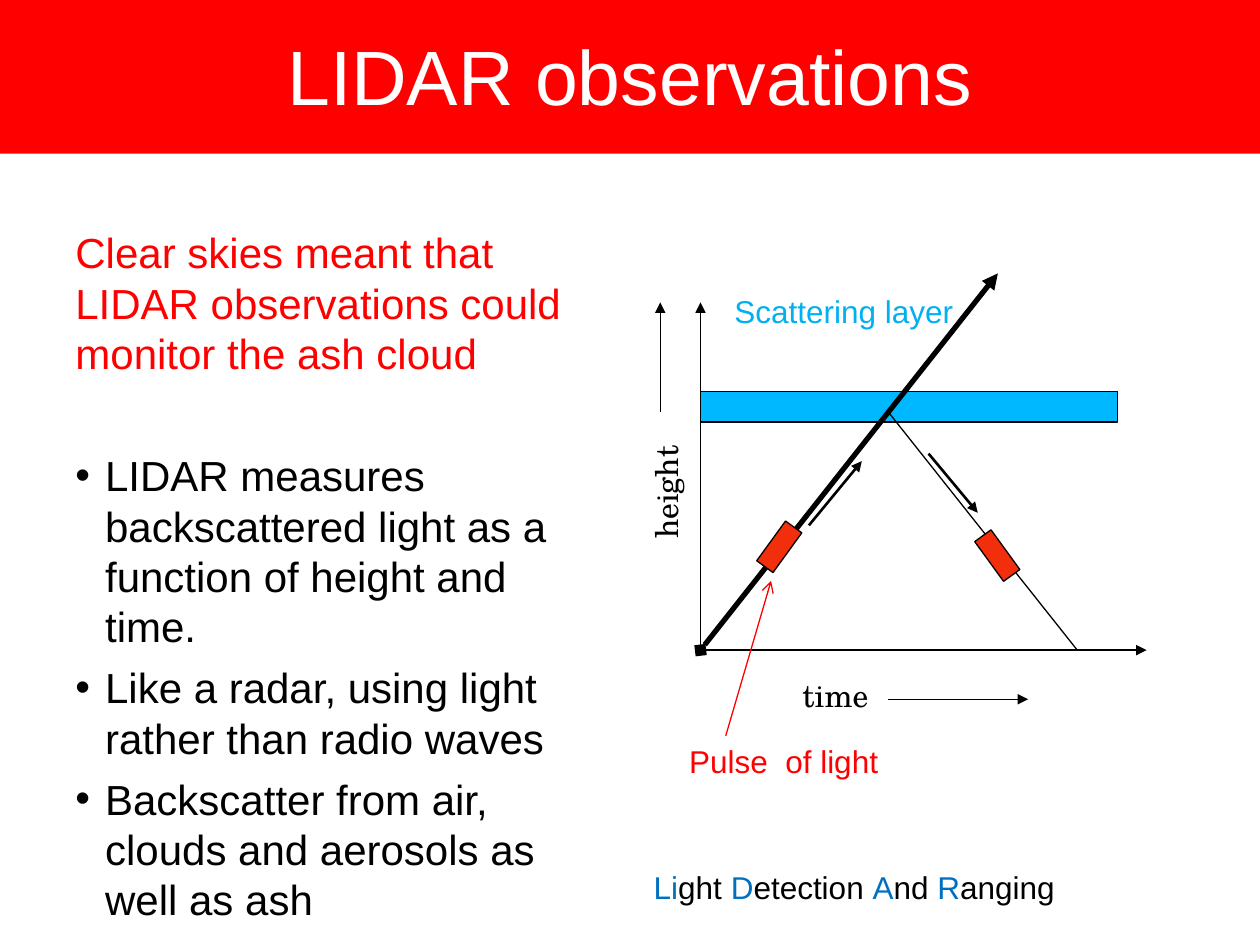
import lxml.etree
import pptx
import pptx.dml.color
import pptx.enum.shapes
import pptx.enum.text
import pptx.oxml.ns
import pptx.util

hue = pptx.dml.color.RGBColor.from_string
qn = pptx.oxml.ns.qn
pt = pptx.util.Pt
box = pptx.enum.shapes.MSO_SHAPE.RECTANGLE
wire = pptx.enum.shapes.MSO_CONNECTOR.STRAIGHT

deck = pptx.Presentation()
deck.slide_width = pptx.util.Inches(10)
deck.slide_height = pptx.util.Inches(7.5)
slide = deck.slides.add_slide(deck.slide_layouts[6])
cell = deck.slide_width // 100  # square grid: 100 columns by 75 rows


def grid(*spots):
    """Turn columns and rows into slide lengths."""
    return [round(spot * cell) for spot in spots]


def ink(run, size, face, tint):
    run.font.size = pt(size)
    run.font.name = face
    run.font.color.rgb = hue(tint)


# Title band
band = slide.shapes.add_shape(box, *grid(0, -0.3, 100, 12.5))
band.shadow.inherit = False
band.fill.solid()
band.fill.fore_color.rgb = hue("FF0000")
band.line.fill.background()
band.text_frame.text = "LIDAR observations"
band.text_frame.vertical_anchor = pptx.enum.text.MSO_ANCHOR.MIDDLE
head = band.text_frame.paragraphs[0]
head.alignment = pptx.enum.text.PP_ALIGN.CENTER
ink(head.runs[0], 44, "Arial", "FFFFFF")

# Scattering layer, then axes and rays, then the light pulses on top
left, base, peak = 55.6, 51.6, 24
layer = (left, 31.1, 33.1, 2.4, 0, "00B8FF")
pulses = [
    (59.9, 42.6, 3.9, 1.6, 306, "F32E0D"),
    (77.2, 43.3, 3.9, 1.6, 54, "F32E0D"),
]
lines = [
    # from, to, width, colour, start mark, end mark
    (left, base, 91, base, 0.75, "000000", None, "triangle"),
    (left, base, left, peak, 0.75, "000000", None, "triangle"),
    (left, base, 79.2, 21.7, 3, "000000", "diamond", "triangle"),
    (85.5, base, 70.5, 32.7, 0.75, "000000", None, None),
    (64.2, 41.7, 68.4, 36.6, 1.5, "000000", None, "triangle"),
    (73.7, 36, 77.6, 40.7, 1.5, "000000", None, "triangle"),
    (70.5, 55.5, 81.6, 55.5, 0.75, "000000", None, "triangle"),
    (52.4, 32.7, 52.4, peak, 0.75, "000000", None, "triangle"),
    (57.6, 58.4, 61.2, 46.1, 0.75, "FF0000", None, "arrow"),
]
for item in [layer] + lines + pulses:
    if len(item) == 6:
        *at, turn, tint = item
        bar = slide.shapes.add_shape(box, *grid(*at))
        bar.rotation = turn
        bar.shadow.inherit = False
        bar.fill.solid()
        bar.fill.fore_color.rgb = hue(tint)
        bar.line.color.rgb = hue("000000")
        bar.line.width = pt(0.75)
        continue
    *ends, width, tint, start, end = item
    ray = slide.shapes.add_connector(wire, *grid(*ends))
    ray.line.color.rgb = hue(tint)
    ray.line.width = pt(width)
    props = ray.element.spPr
    for tag, mark in (("a:headEnd", start), ("a:tailEnd", end)):
        if mark:
            lxml.etree.SubElement(props.find(qn("a:ln")), qn(tag), type=mark)
    lxml.etree.SubElement(props, qn("a:effectLst"))

# Labels
serif = "TeX Gyre Schola"
name = []
for big, rest in (("Li", "ght "), ("D", "etection "), ("A", "nd "), ("R", "anging")):
    name += [(big, "0070C0"), (rest, "000000")]
labels = [
    (62.7, 53.2, 20.5, 0, serif, [("time", "000000")]),
    (42.6, 31.5, 20.5, 270, serif, [("height", "000000")]),
    (53.7, 58.4, 26.1, 0, "Arial", [("Pulse  of light", "FF0000")]),
    (57.3, 22.7, 24.2, 0, "Arial", [("Scattering layer", "00B0F0")]),
    (50.9, 68.4, 44.7, 0, "Arial", name),
]
for col, row, wide, turn, face, parts in labels:
    label = slide.shapes.add_textbox(*grid(col, row, wide, 4))
    label.rotation = turn
    label.text_frame.word_wrap = True
    for words, tint in parts:
        run = label.text_frame.paragraphs[0].add_run()
        run.text = words
        ink(run, 18, face, tint)

# Body: a red lead, then bullets
body = slide.shapes.add_textbox(*grid(5, 17.5, 44.2, 49.5)).text_frame
body.word_wrap = True
body.text = "\n".join([
    "Clear skies meant that LIDAR observations could monitor the ash cloud",
    "LIDAR measures backscattered light as a function of height and time.",
    "Like a radar, using light rather than radio waves",
    "Backscatter from air, clouds and aerosols as well as ash",
])
for rank, par in enumerate(body.paragraphs):
    if rank:
        par.space_before = pt(41 if rank == 1 else 6)
        props = par._p.get_or_add_pPr()
        hang = grid(2.36)[0]
        props.set("marL", str(hang))
        props.set("indent", str(-hang))
        lxml.etree.SubElement(props, qn("a:buFont"), typeface="Arial")
        lxml.etree.SubElement(props, qn("a:buChar"), char="•")
    ink(par.runs[0], 24, "Arial", "000000" if rank else "FF0000")

deck.save("out.pptx")
